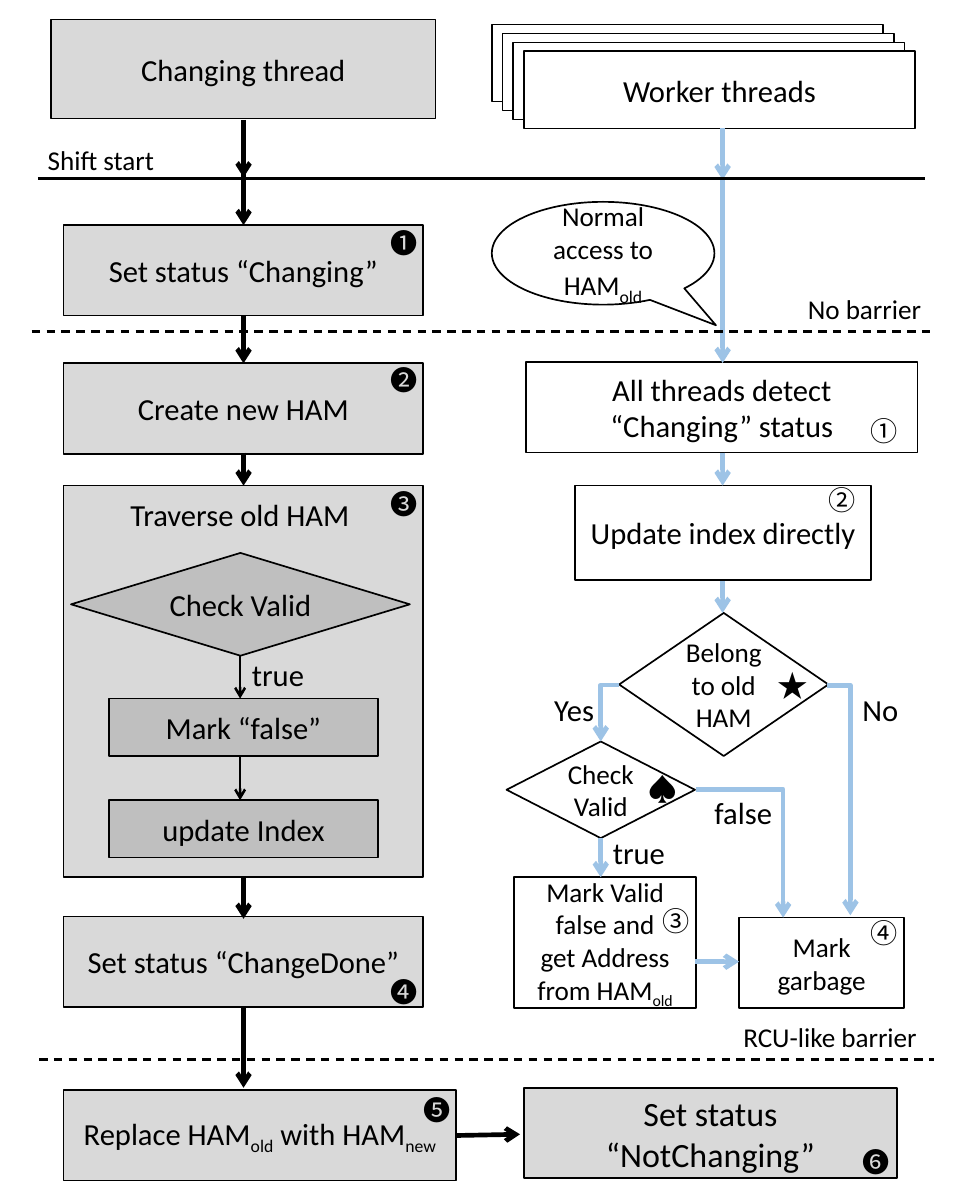
from dataclasses import dataclass
from lxml.etree import SubElement
from pptx import Presentation
from pptx.dml.color import RGBColor
from pptx.enum.dml import MSO_LINE
from pptx.enum.shapes import MSO_CONNECTOR, MSO_SHAPE
from pptx.enum.text import MSO_ANCHOR, MSO_AUTO_SIZE, PP_ALIGN
from pptx.oxml.ns import qn
from pptx.slide import Slide
from pptx.util import Pt

COLORS = {
    "ink": "000000",
    "paper": "FFFFFF",
    "step": "D9D9D9",
    "inner": "BFBFBF",
    "worker": "9DC3E6",
}
SYMBOL_FONT = "Noto Sans CJK SC"


@dataclass
class FlowChart:
    """Draws flow chart elements on one slide, with lengths in points."""

    page: Slide
    font: str = "Calibri"
    outline: float = 1
    arrow: float = 2.75

    def color(self, name):
        return RGBColor.from_string(COLORS[name])

    def fill_text(self, frame, text, size, align, font=None, sub_size=None):
        frame.word_wrap = True
        frame.text = text
        for para in frame.paragraphs:
            para.alignment = align
            pieces = para.text.split("_")
            para.text = pieces[0]
            for piece in filter(None, pieces[1:]):
                para.add_run().text = piece
            for index, span in enumerate(para.runs):
                lowered = index % 2 == 1
                span.font.size = Pt(sub_size if lowered and sub_size else size)
                span.font.name = font or self.font
                span.font.color.rgb = self.color("ink")
                properties = span._r.get_or_add_rPr()
                SubElement(properties, qn("a:ea"), typeface=font or self.font)
                if lowered:
                    properties.set("baseline", "-25000")

    def box(self, left, top, width, height, text="", fill="paper", size=18,
            kind=MSO_SHAPE.RECTANGLE, sub_size=None):
        box = self.page.shapes.add_shape(kind, Pt(left), Pt(top), Pt(width), Pt(height))
        box.shadow.inherit = False
        box.fill.solid()
        box.fill.fore_color.rgb = self.color(fill)
        box.line.color.rgb = self.color("ink")
        box.line.width = Pt(self.outline)
        box.text_frame.vertical_anchor = MSO_ANCHOR.MIDDLE
        if text:
            self.fill_text(box.text_frame, text, size, PP_ALIGN.CENTER, sub_size=sub_size)
        return box

    def label(self, left, top, width, height, text, size=18, align=PP_ALIGN.LEFT, font=None):
        label = self.page.shapes.add_textbox(Pt(left), Pt(top), Pt(width), Pt(height))
        self.fill_text(label.text_frame, text, size, align, font)
        label.text_frame.auto_size = MSO_AUTO_SIZE.SHAPE_TO_FIT_TEXT
        return label

    def badge(self, left, top, symbol):
        badge = self.label(left, top, 30.2, 26.6, symbol, 16, font=SYMBOL_FONT)
        badge.text_frame.word_wrap = False

    def line(self, start, end, color="ink", width=None, head=True, dashed=False, bent=False):
        kind = MSO_CONNECTOR.ELBOW if bent else MSO_CONNECTOR.STRAIGHT
        line = self.page.shapes.add_connector(kind, *map(Pt, start + end))
        line.line.color.rgb = self.color(color)
        line.line.width = Pt(width or self.arrow)
        if dashed:
            line.line.dash_style = MSO_LINE.DASH
        properties = line._element.spPr
        if bent:
            properties.find(qn("a:prstGeom")).set("prst", "bentConnector2")
        if head:
            SubElement(properties.find(qn("a:ln")), qn("a:tailEnd"), type="arrow")
        SubElement(properties, qn("a:effectLst"))


def draw_changing_thread(chart):
    chart.box(30.2, 11.5, 226.1, 58.3, "Changing thread", "step")
    for top, text in ((132.5, "Set status “Changing”"), (213.8, "Create new HAM"),
                      (539.3, "Set status “ChangeDone”")):
        chart.box(37.4, top, 211.7, 53.3, text, "step")
    chart.box(37.4, 641.5, 231.1, 53.3, "Replace HAM_old_ with HAM_new_", "step")
    chart.box(308.2, 640.1, 219.6, 53.3, "Set status “NotChanging”", "step", 20)

    chart.box(37.4, 285.8, 211.7, 230.4, fill="step")
    heading = chart.label(59.8, 292.3, 162.7, 24.5, "Traverse old HAM", align=PP_ALIGN.CENTER)
    heading.text_frame.paragraphs[0].line_spacing = 0.8
    chart.box(41.8, 325.4, 199.4, 60.5, "Check Valid", "inner", kind=MSO_SHAPE.DIAMOND)
    for top, text in ((411.1, "Mark “false”"), (470.9, "update Index")):
        chart.box(64.1, top, 158.4, 33.8, text, "inner")
    for top, bottom in ((385.9, 411.1), (445.2, 470.9)):
        chart.line((141.3, top), (141.3, bottom), width=1.5)
    chart.label(141.1, 382.3, 49.7, 28.8, "true")

    for top, bottom in ((70.6, 104.4), (98.6, 132.5), (185.8, 213.8),
                        (266.4, 285.8), (516.2, 540.7), (593.3, 640.1)):
        chart.line((143.3, top), (143.3, bottom))
    chart.line((268.5, 668.2), (306, 667.5))

    for left, top, symbol in ((222.5, 129.6, "➊"), (222.5, 210.2, "➋"), (222.5, 283, "➌"),
                              (222.5, 570.2, "➍"), (241.9, 640.1, "➎"), (500.4, 670.3, "➏")):
        chart.badge(left, top, symbol)


def draw_worker_threads(chart):
    for layer in range(4):
        chart.box(289.4 + 6.27 * layer, 14.4 + 5.27 * layer, 230.4, 45.4,
                  "Worker threads" if layer == 3 else "")
    chart.box(309.6, 213.1, 230.4, 53.3, "All threads detect “Changing” status")
    chart.box(338.4, 285.8, 174.2, 55.4, "Update index directly")
    chart.box(364.3, 360.7, 123.1, 84.2, "Belong to old HAM", size=16, kind=MSO_SHAPE.DIAMOND)
    chart.box(298.1, 436.3, 110.9, 56.9, "Check Valid", size=16, kind=MSO_SHAPE.DIAMOND)
    chart.box(302.4, 516.2, 107.3, 77, "Mark Valid false and\nget Address from HAM_old_", size=16)
    chart.box(434.9, 540, 97.2, 53.3, "Mark garbage", size=16)

    for center, top, bottom in ((425.2, 75.6, 105.8), (425.2, 105.8, 213.6), (425.2, 266.4, 285.8),
                                (425.2, 342, 360.7), (353.5, 493.2, 516.2)):
        chart.line((center, top), (center, bottom), "worker")
    chart.line((409, 565.9), (434.9, 565.9), "worker")
    for start, end in (((486.7, 403.2), (500.4, 538.6)), ((364.3, 403.2), (353.5, 436.3)),
                       ((409.7, 464.4), (460.8, 540))):
        chart.line(start, end, "worker", bent=True)

    callout = chart.box(289.4, 118.8, 131, 60.5, "Normal access to HAM_old_", size=16,
                        kind=MSO_SHAPE.OVAL_CALLOUT, sub_size=18)
    callout.adjustments[0] = 0.507
    callout.adjustments[1] = 0.701

    for left, top, width, text in ((319, 403.2, 39.6, "Yes"), (500.4, 403.2, 38.2, "No"),
                                   (353.5, 487.4, 49.7, "true"), (413.3, 463.7, 49.7, "false")):
        chart.label(left, top, width, 28.8, text)
    for left, top, symbol in ((505.4, 240.5, "①"), (480.2, 280.8, "②"),
                              (383, 528.5, "③"), (505.4, 535.7, "④")):
        chart.badge(left, top, symbol)
    for left, top, width, symbol in ((450.7, 388.8, 28.8, "★"), (373.7, 450, 20.9, "♠")):
        chart.label(left, top, width, 28.8, symbol, font=SYMBOL_FONT)


def draw_barriers(chart):
    chart.line((22.3, 105.1), (544.3, 105.1), width=1.75, head=False)
    for left, right, height in ((18.7, 548.6, 195.1), (23, 549.4, 623.5)):
        chart.line((left, height), (right, height), width=1.25, head=False, dashed=True)
    for left, top, width, text in ((13.7, 80.6, 91.4, "Shift start"),
                                   (467.3, 168.5, 82.8, "No barrier"),
                                   (428.4, 596.9, 120.2, "RCU-like barrier")):
        chart.label(left, top, width, 26.6, text, 16, PP_ALIGN.CENTER)


def main():
    deck = Presentation()
    deck.slide_width, deck.slide_height = Pt(566.64), Pt(708.48)
    chart = FlowChart(deck.slides.add_slide(deck.slide_layouts[6]))
    draw_changing_thread(chart)
    draw_worker_threads(chart)
    draw_barriers(chart)
    deck.save("out.pptx")


if __name__ == "__main__":
    main()
